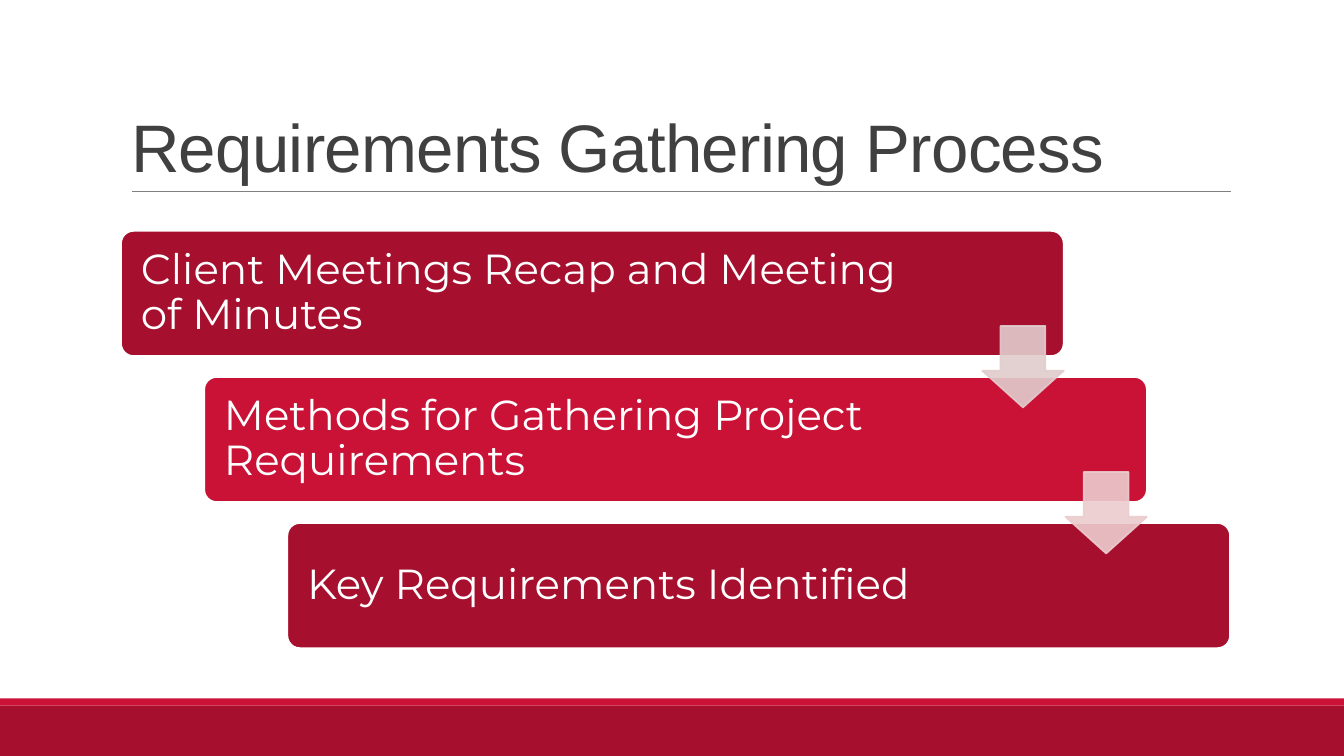
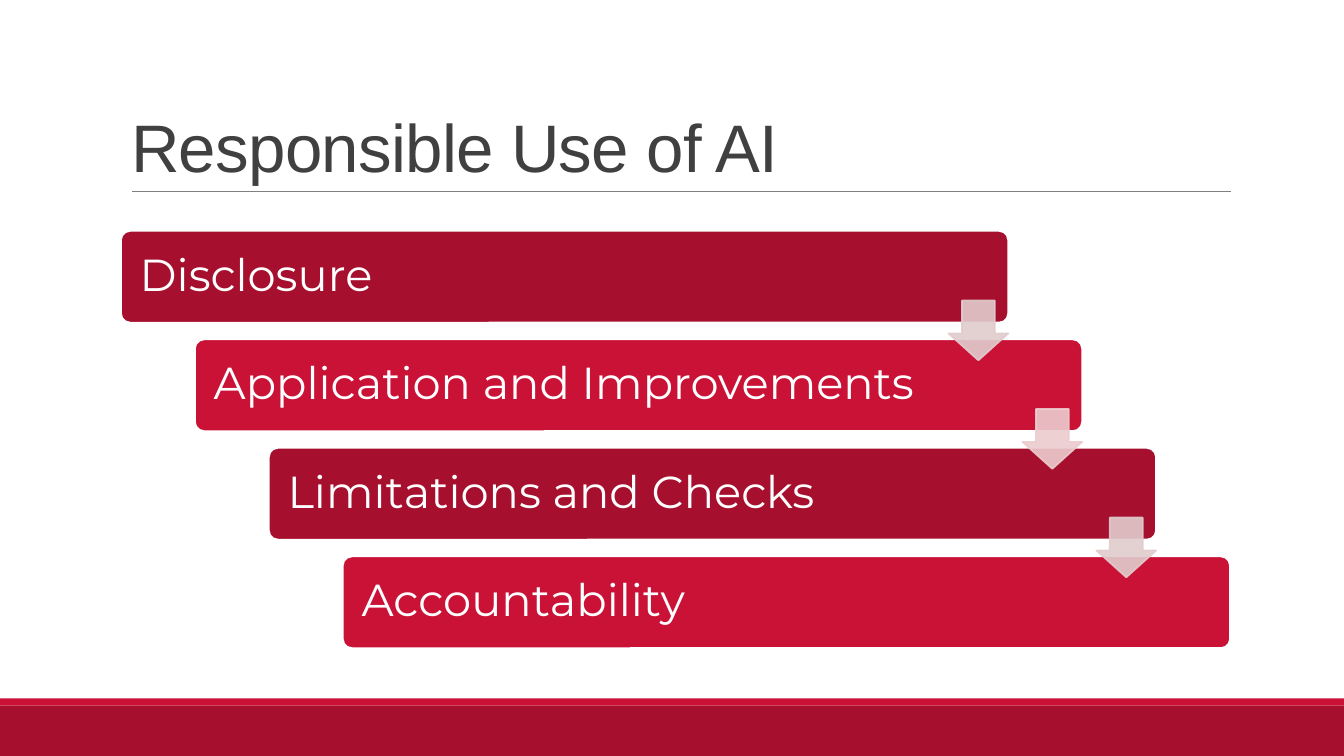
from lxml.etree import SubElement as Sub
from pptx import Presentation
from pptx.dml.color import RGBColor as RGB
from pptx.enum.shapes import MSO_CONNECTOR as Link, MSO_SHAPE as Kind
from pptx.enum.text import MSO_ANCHOR as Anchor, MSO_AUTO_SIZE as Fit, PP_ALIGN as Align
from pptx.oxml.ns import qn
from pptx.util import Inches, Pt

DARK, RED, WHITE, GRAY, INK = "A60F2D", "CA1237", "FFFFFF", "808080", "404040"
TINTS = "E1CCCD", "ECCCCE"
WIDE, HIGH = 13.33, 7.5
LEFT, TOP, SPAN, DROP = 1.2, 2.29, 11, 4.14  # area of the steps


def tint(color, code):
    color.rgb = RGB.from_string(code)


class Deck:
    def __init__(self):
        self.prs = Presentation()
        self.prs.slide_width, self.prs.slide_height = Inches(WIDE), Inches(HIGH)
        self.base = self.prs.slide_layouts[5]
        self.slide = None

    def start(self, title):
        first = self.slide is None
        self.slide = self.prs.slides.add_slide(self.base)
        if first:
            self.frame()
        self.title(title)

    # Bands and title rule, kept on the layout
    def frame(self):
        parts = [
            self.shape(Kind.RECTANGLE, (0, 7, WIDE, 0.5), DARK),
            self.shape(Kind.RECTANGLE, (0, 6.93, WIDE, 0.07), RED),
            self.rule(1.31, 1.9, 12.21),
        ]
        for num, part in enumerate(parts, 20):
            next(part.element.iter(qn("p:cNvPr"))).set("id", str(num))
            self.base.shapes.element.append(part.element)

    def shape(self, kind, area, fill, line=None):
        shape = self.slide.shapes.add_shape(kind, *map(Inches, area))
        shape.shadow.inherit = False
        shape.fill.solid()
        tint(shape.fill.fore_color, fill)
        if line:
            tint(shape.line.color, line)
            shape.line.width = Pt(1.25)
        else:
            shape.line.fill.background()
        return shape

    def rule(self, left, top, right):
        ends = map(Inches, (left, top, right, top))
        line = self.slide.shapes.add_connector(Link.STRAIGHT, *ends)
        tint(line.line.color, GRAY)
        line.line.width = Pt(0.5)
        Sub(line.element.spPr, qn("a:effectLst"))
        return line

    def text(self, shape, words, font, size, color, lead, form):
        frame = shape.text_frame
        form = {"word_wrap": True, "auto_size": Fit.NONE, **form}
        for key, value in form.items():
            setattr(frame, key, value)
        para = frame.paragraphs[0]
        para.alignment, para.line_spacing = Align.LEFT, lead
        run = para.add_run()
        run.text = words
        for key, value in {"name": font, "size": Pt(size)}.items():
            setattr(run.font, key, value)
        tint(run.font.color, color)

    def title(self, words):
        shape = self.slide.shapes.title
        area = {"left": 1.2, "top": 0.31, "width": 11, "height": 1.59}
        for key, value in area.items():
            setattr(shape, key, Inches(value))
        self.text(shape, words, "Arial", 48, INK, 0.85,
                  {"vertical_anchor": Anchor.BOTTOM})
        for props in shape.element.iter(qn("a:rPr")):
            props.set("spc", "-50")

    def box(self, area, words, size, fill):
        box = self.shape(Kind.ROUNDED_RECTANGLE, area, fill, WHITE)
        box.adjustments[0] = 0.1
        self.text(box, words, "Montserrat", size, WHITE, 0.9, {
            "vertical_anchor": Anchor.MIDDLE,
            "margin_left": Inches(0.16), "margin_right": Inches(1.42)})

    def arrow(self, left, top, side, color):
        arrow = self.shape(Kind.DOWN_ARROW, (left, top, side, side), color, color)
        arrow.adjustments[0], arrow.adjustments[1] = 0.55, 0.45
        for node in list(arrow.element.spPr.iter(qn("a:srgbClr"))):
            Sub(node, qn("a:alpha"), val="90000")

    # Staircase of boxes with an arrow from each to the next
    def steps(self, items, size, wide, high):
        wide, high = wide * SPAN, high * DROP
        gaps = len(items) - 1
        spots = [(LEFT + i * (SPAN - wide) / gaps, TOP + i * (DROP - high) / gaps)
                 for i in range(len(items))]
        for i, ((left, top), words) in enumerate(zip(spots, items)):
            self.box((left, top, wide, high), words, size, (DARK, RED)[i % 2])
        side = 0.65 * high
        for i, (left, top) in enumerate(spots[:-1]):
            self.arrow(left + wide - side, top + 0.76 * high, side, TINTS[i % 2])


def main():
    deck = Deck()

    # Gathering process
    deck.start("Requirements Gathering Process")
    deck.steps(["Client Meetings Recap and Meeting of Minutes",
                "Methods for Gathering Project Requirements",
                "Key Requirements Identified"], 30, 0.85, 0.3)

    # Use of AI
    deck.start("Responsible Use of AI")
    deck.steps(["Disclosure", "Application and Improvements",
                "Limitations and Checks", "Accountability"], 32, 0.8, 0.22)

    deck.prs.save("out.pptx")


if __name__ == "__main__":
    main()
